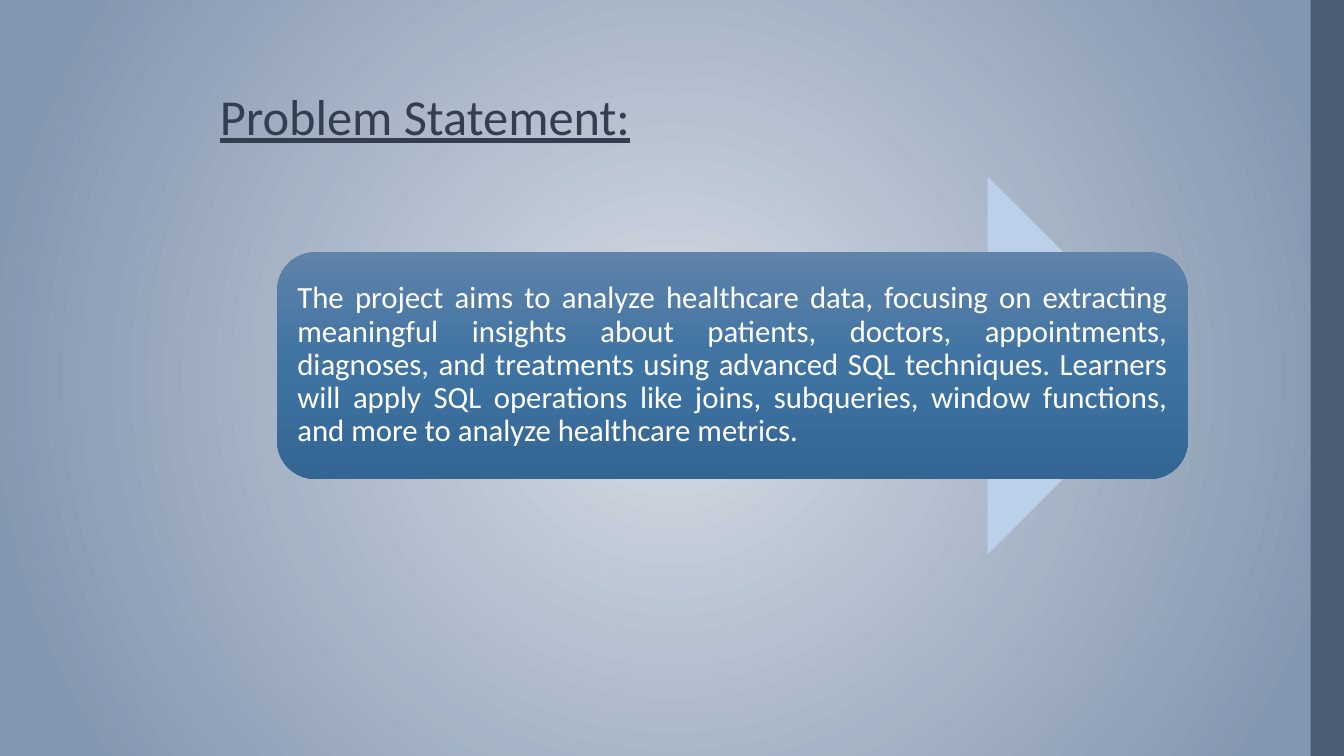
from lxml import etree
from pptx import Presentation
from pptx.dml.color import RGBColor
from pptx.enum.shapes import MSO_SHAPE as Preset
from pptx.enum.text import MSO_ANCHOR as Anchor, PP_ALIGN as Align
from pptx.oxml import parse_xml
from pptx.oxml.ns import nsdecls, qn
from pptx.util import Inches, Pt

COLORS = {
    "glow": "D6DCE5",
    "edge": "8497B0",
    "side": "44546A",
    "title": "333F50",
    "arrow": "BDD0E9",
    "card_top": "5F83AA",
    "card_middle": "3F73A2",
    "card_bottom": "346694",
    "white": "FFFFFF",
}
STATEMENT = (
    "The project aims to analyze healthcare data, focusing on extracting "
    "meaningful insights about patients, doctors, appointments, diagnoses, "
    "and treatments using advanced SQL techniques. Learners will apply SQL "
    "operations like joins, subqueries, window functions, and more to "
    "analyze healthcare metrics."
)


def set_gradient(fill, element, stops, direction):
    """Give the fill inside element these (percent, colour) stops and direction."""
    fill.gradient()
    old = next(element.iter(qn("a:gradFill")))
    stop_xml = "".join(
        f'<a:gs pos="{percent * 1000}"><a:srgbClr val="{COLORS[name]}"/></a:gs>'
        for percent, name in stops
    )
    old.getparent().replace(old, parse_xml(
        f'<a:gradFill {nsdecls("a")} rotWithShape="1">'
        f"<a:gsLst>{stop_xml}</a:gsLst>{direction}</a:gradFill>"
    ))


def add_plain_shape(preset, left, top, width, height, color):
    shape = page.shapes.add_shape(
        preset, Inches(left), Inches(top), Inches(width), Inches(height)
    )
    shape.shadow.inherit = False
    shape.line.fill.background()
    shape.fill.solid()
    shape.fill.fore_color.rgb = RGBColor.from_string(COLORS[color])
    return shape


deck = Presentation()
deck.slide_width, deck.slide_height = Inches(13.33), Inches(7.5)
page = deck.slides.add_slide(deck.slide_layouts[5])

# Background and side strip
set_gradient(
    page.background.fill, page.element, [(0, "glow"), (90, "edge")],
    '<a:path path="circle">'
    '<a:fillToRect l="50000" t="50000" r="50000" b="50000"/></a:path>',
)
strip = add_plain_shape(Preset.RECTANGLE, 13, 0, 0.33, 7.5, "side")
strip_color = next(strip.element.spPr.iter(qn("a:srgbClr")))
etree.SubElement(strip_color, qn("a:alpha"), val="87000")

# Title
title = page.shapes.title
title.left, title.top = Inches(2.08), Inches(0)
title.width, title.height = Inches(10.36), Inches(1.5)
title.text_frame.text = "Problem Statement:"
title.text_frame.vertical_anchor = Anchor.BOTTOM
heading = title.text_frame.paragraphs[0]
heading.alignment = Align.LEFT
heading.line_spacing = 0.9
heading.font.name = "Calibri"
heading.font.size = Pt(36)
heading.font.underline = True
heading.font.color.rgb = RGBColor.from_string(COLORS["title"])

# Arrow with the statement card in front
add_plain_shape(Preset.RIGHT_ARROW, 2.86, 1.75, 8.81, 3.75, "arrow")
card = add_plain_shape(Preset.ROUNDED_RECTANGLE, 2.75, 2.5, 9.03, 2.25, "card_top")
set_gradient(
    card.fill, card.element.spPr,
    [(0, "card_top"), (50, "card_middle"), (100, "card_bottom")],
    '<a:lin ang="5400000" scaled="0"/>',
)
frame = card.text_frame
frame.word_wrap = True
frame.vertical_anchor = Anchor.MIDDLE
frame.margin_left = frame.margin_right = Inches(0.09)
frame.margin_top = frame.margin_bottom = Inches(0.09)
frame.text = STATEMENT
para = frame.paragraphs[0]
para.alignment = Align.JUSTIFY
para.line_spacing = 0.9
para.space_after = Pt(7.7)
para.font.name = "Calibri"
para.font.size = Pt(22)
para.font.color.rgb = RGBColor.from_string(COLORS["white"])

deck.save("out.pptx")
